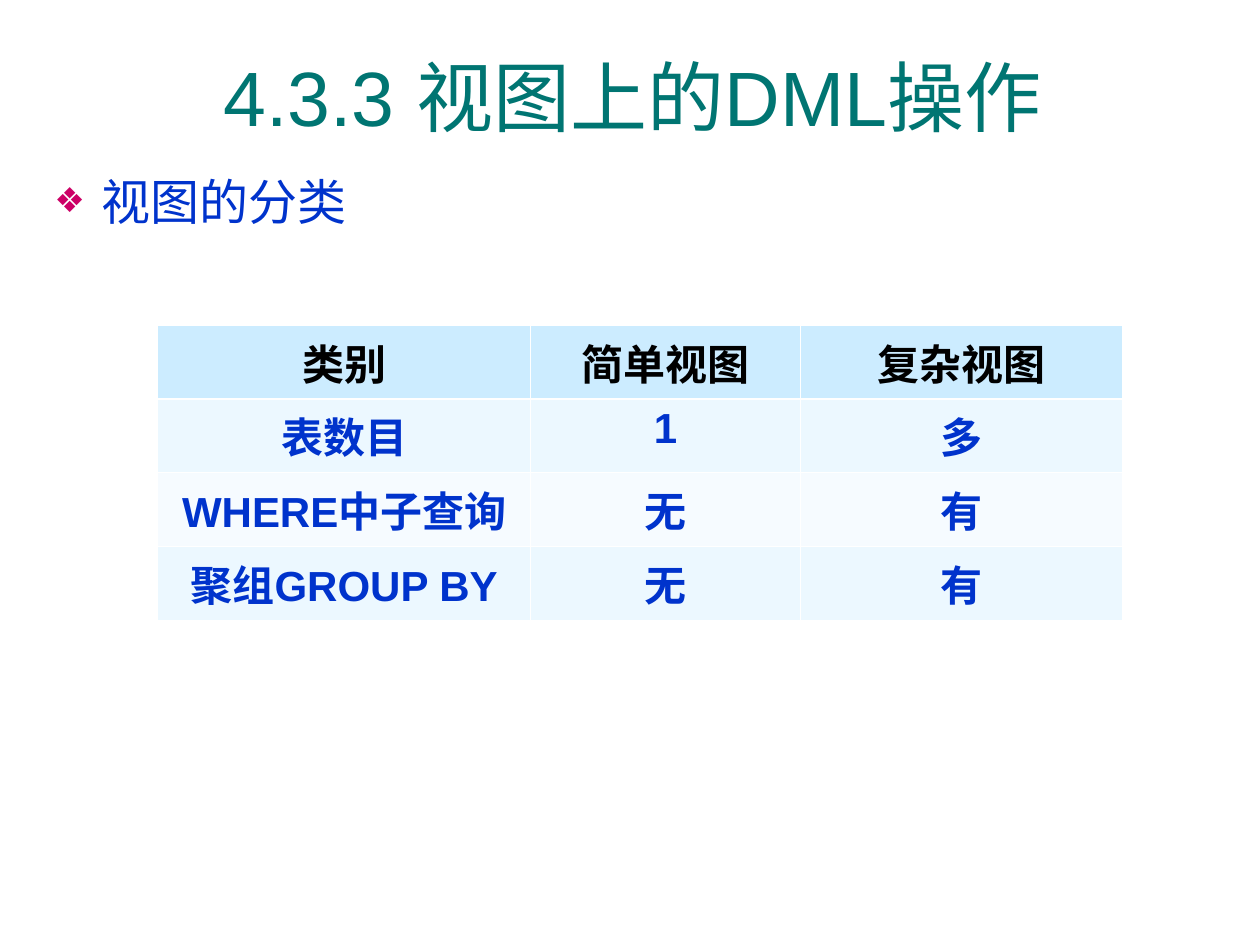
from lxml import etree
from pptx import Presentation
from pptx.dml.color import RGBColor
from pptx.enum.text import MSO_ANCHOR, PP_ALIGN
from pptx.oxml.ns import qn
from pptx.util import Pt

CENTER = PP_ALIGN.CENTER
TOP = MSO_ANCHOR.TOP
MIDDLE = MSO_ANCHOR.MIDDLE

TEAL = RGBColor(0x00, 0x75, 0x72)
BLUE = RGBColor(0x00, 0x33, 0xCC)
PINK = RGBColor(0xCC, 0x00, 0x66)
BLACK = RGBColor(0x00, 0x00, 0x00)
WHITE = RGBColor(0xFF, 0xFF, 0xFF)
SKY = RGBColor(0xCC, 0xEC, 0xFF)
PALE = RGBColor(0xEC, 0xF8, 0xFF)
MIST = RGBColor(0xF6, 0xFB, 0xFF)

FONT = "Arial"
ROWS = [
    ("类别", "简单视图", "复杂视图"),
    ("表数目", "1", "多"),
    ("WHERE中子查询", "无", "有"),
    ("聚组GROUP BY", "无", "有"),
]
FILLS = [SKY, PALE, MIST, PALE]
WIDTHS = [213, 154.2, 183.8]
HEIGHT = 42.2
THIN = 0.45
THICK = 1.47


def add_run(para, text, size, color, bold=False):
    run = para.add_run()
    run.text = text
    font = run.font
    font.name = FONT
    font.size = Pt(size)
    font.bold = bold
    font.color.rgb = color


def place(shape, left, top, width, height, anchor):
    shape.left, shape.top = Pt(left), Pt(top)
    shape.width, shape.height = Pt(width), Pt(height)
    frame = shape.text_frame
    frame.vertical_anchor = anchor
    frame.word_wrap = True
    return frame.paragraphs[0]


def add_color(parent, color):
    etree.SubElement(parent, qn("a:srgbClr"), val=str(color))


def add_bullet(para, char, color, percent, indent):
    props = para._p.get_or_add_pPr()
    props.set("marL", str(Pt(indent)))
    props.set("indent", str(-Pt(indent)))
    add_color(etree.SubElement(props, qn("a:buClr")), color)
    etree.SubElement(props, qn("a:buSzPct"), val=str(percent * 1000))
    etree.SubElement(props, qn("a:buFont"), typeface=FONT)
    etree.SubElement(props, qn("a:buChar"), char=char)


def add_border(cell, side, width):
    props = cell._tc.get_or_add_tcPr()
    line = etree.SubElement(props, qn(f"a:ln{side}"), w=str(Pt(width)))
    add_color(etree.SubElement(line, qn("a:solidFill")), WHITE)


def fill_cell(cell, text, row):
    edges = {"L": THIN, "R": THIN,
             "T": THICK if row == 1 else THIN,
             "B": THICK if row == 0 else THIN}
    for side, width in edges.items():
        add_border(cell, side, width)
    cell.fill.solid()
    cell.fill.fore_color.rgb = FILLS[row]
    para = cell.text_frame.paragraphs[0]
    para.alignment = CENTER
    add_run(para, text, 24, BLUE if row else BLACK, True)


def add_grid(slide, left, top):
    frame = slide.shapes.add_table(
        len(ROWS), len(WIDTHS), Pt(left), Pt(top),
        Pt(sum(WIDTHS)), Pt(HEIGHT * len(ROWS)))
    table = frame.table
    for col, width in zip(table.columns, WIDTHS):
        col.width = Pt(width)
    for row, texts in enumerate(ROWS):
        table.rows[row].height = Pt(HEIGHT)
        for col, text in enumerate(texts):
            fill_cell(table.cell(row, col), text, row)


def main():
    deck = Presentation()
    deck.slide_width, deck.slide_height = Pt(720), Pt(540)
    slide = deck.slides.add_slide(deck.slide_layouts[1])

    title = place(slide.shapes.title, 25.2, 20.2, 672.5, 68.4, MIDDLE)
    title.alignment = CENTER
    add_run(title, "4.3.3 视图上的DML操作", 44, TEAL)

    item = place(slide.placeholders[1], 23.8, 94.3, 672.5, 414, TOP)
    add_bullet(item, "❖", PINK, 70, 27)
    item.space_before = Pt(0)
    add_run(item, "视图的分类", 28, BLUE)

    add_grid(slide, 90.2, 185.8)
    deck.save("out.pptx")


if __name__ == "__main__":
    main()
